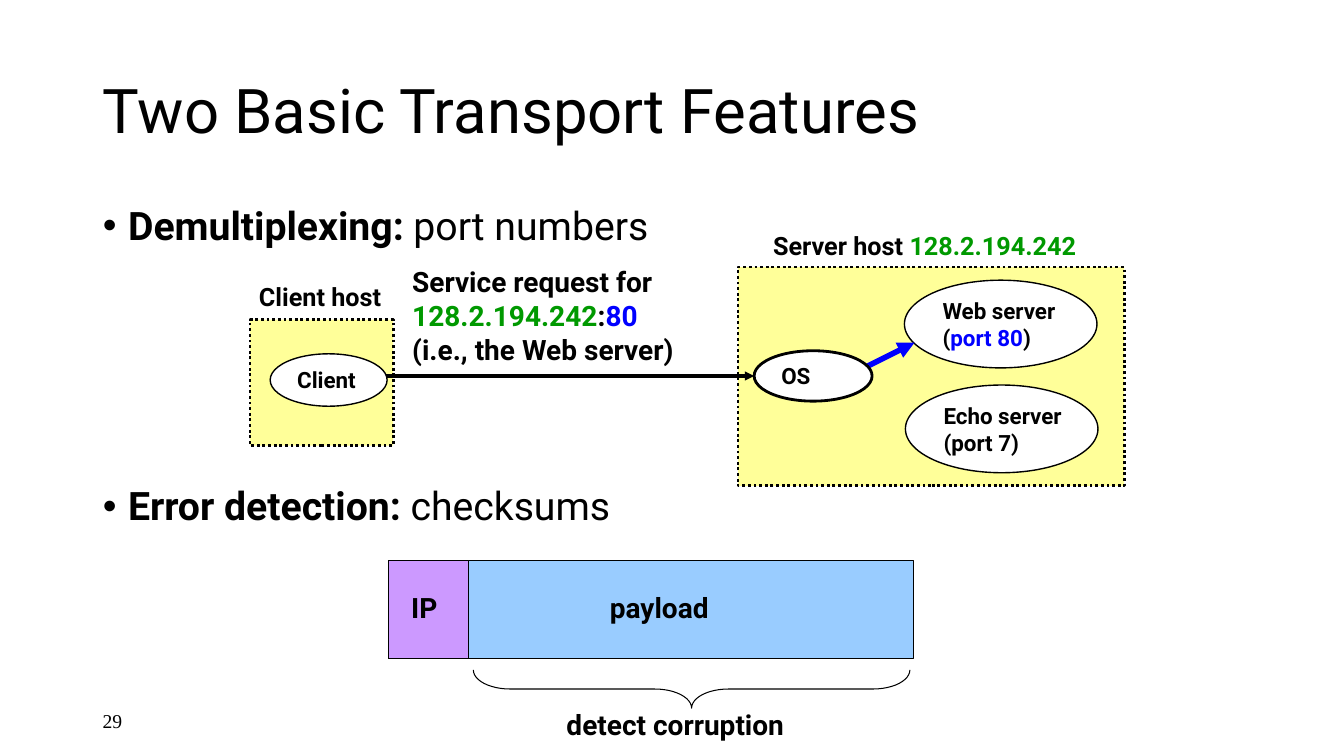
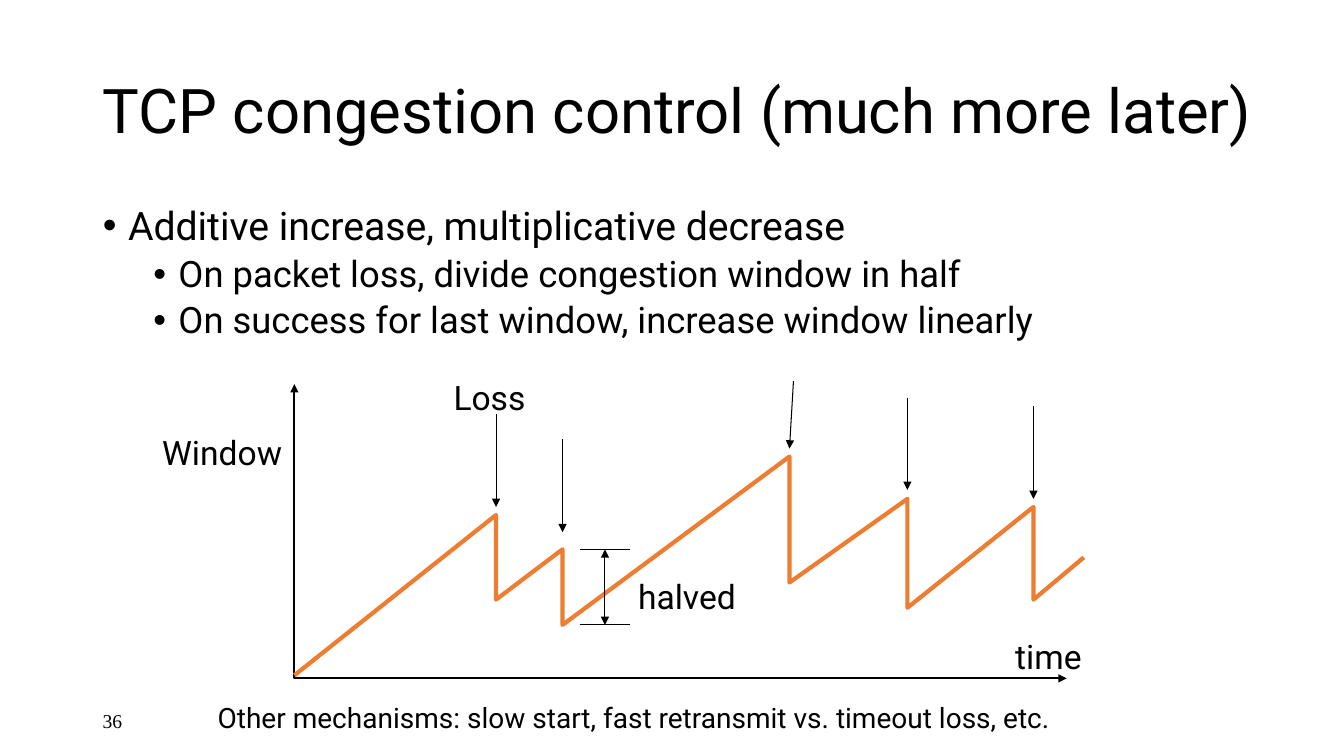
"""Build two slides on transport features and TCP congestion control."""
from lxml import etree
from pptx import Presentation
from pptx.dml.color import RGBColor
from pptx.enum.dml import MSO_LINE
from pptx.enum.shapes import MSO_CONNECTOR, MSO_SHAPE
from pptx.enum.text import MSO_ANCHOR, MSO_AUTO_SIZE, PP_ALIGN
from pptx.oxml.ns import qn
from pptx.util import Inches, Pt

RECT, OVAL, BRACE = MSO_SHAPE.RECTANGLE, MSO_SHAPE.OVAL, MSO_SHAPE.LEFT_BRACE
STRAIGHT, DOTTED = MSO_CONNECTOR.STRAIGHT, MSO_LINE.ROUND_DOT
LEFT, TOP, MIDDLE = PP_ALIGN.LEFT, MSO_ANCHOR.TOP, MSO_ANCHOR.MIDDLE
FIT, FIXED = MSO_AUTO_SIZE.SHAPE_TO_FIT_TEXT, MSO_AUTO_SIZE.NONE

BLACK = RGBColor(0x00, 0x00, 0x00)
WHITE = RGBColor(0xFF, 0xFF, 0xFF)
BLUE = RGBColor(0x00, 0x00, 0xFF)
GREEN = RGBColor(0x00, 0x99, 0x00)
YELLOW = RGBColor(0xFF, 0xFF, 0x99)
SKY = RGBColor(0x99, 0xCC, 0xFF)
PURPLE = RGBColor(0xCC, 0x99, 0xFF)
ORANGE = RGBColor(0xED, 0x7D, 0x31)
FONT, NUMBER_FONT = "Roboto", "Times New Roman"

LEVELS = [(0.25, 28, 10), (0.75, 26, 5)]

ADDRESS = ("128.2.194.242", GREEN)
HOSTS = [(2.48, 3.17, 1.42, 1.25), (7.32, 2.65, 3.83, 2.17)]
SERVERS = [
    ((8.97, 2.78, 1.91, 0.87), 1,
     [["Web server"], ["(", ("port 80", BLUE), ")"]]),
    ((8.98, 3.82, 1.91, 0.87), 1, [["Echo server"], ["(port 7)"]]),
]
ENDPOINTS = [
    ((7.48, 3.48, 1.17, 0.5), 2, [["OS"]]),
    ((2.68, 3.51, 1.16, 0.52), 1, [["Client"]]),
]
REQUEST_ARROWS = [
    ((3.73, 3.73), (7.48, 3.73), BLACK, 2.25),
    ((8.57, 3.65), (9.07, 3.4), BLUE, 4),
]
PACKET = [((3.85, 5.56, 5.21, 0.97), SKY), ((3.85, 5.56, 0.8, 0.97), PURPLE)]
HOST_LABELS = [
    ((2.47, 2.74, 1.49, 0.4), 18, [["Client host"]]),
    ((7.57, 2.24, 3.24, 0.4), 18, [["Server host ", ADDRESS]]),
    ((3.99, 2.58, 3.21, 1.1), 20,
     [["Service request for"], [ADDRESS, ":", ("80", BLUE)],
      ["(i.e., the Web server)"]]),
    ((3.98, 5.81, 0.47, 0.44), 20, [["IP"]]),
    ((5.95, 5.81, 1.26, 0.44), 20, [["payload"]]),
    ((5.52, 6.97, 2.51, 0.44), 20, [["detect corruption"]]),
]

AXES = [(2.92, 3.81), (2.92, 6.73), (10.58, 6.73)]
WINDOW = [(2.92, 6.7), (4.92, 5.11), (4.92, 5.95), (5.58, 5.45), (5.58, 6.2),
          (7.83, 4.53), (7.83, 5.78), (9, 4.95), (9, 6.03), (10.25, 5.03),
          (10.25, 5.95), (10.75, 5.53)]
LOSS_ARROWS = [
    ((4.92, 4.11), (4.92, 5.03)),
    ((5.58, 4.36), (5.58, 5.28)),
    ((7.87, 3.78), (7.83, 4.45)),
    ((9, 3.95), (9, 4.86)),
    ((10.25, 4.03), (10.25, 4.95)),
]
HALF_TOP, HALF_BOTTOM = 5.45, 6.2
CHART_LABELS = [
    ((9.97, 6.26, 1.29, 0.5), 24, [["time"]]),
    ((1.51, 4.24, 1.4, 0.5), 24, [["Window"]]),
    ((6.23, 5.66, 1.2, 0.5), 24, [["halved"]]),
    ((4.4, 3.69, 1.1, 0.5), 24, [["Loss"]]),
    ((2.06, 6.9, 8.6, 0.44), 20,
     [["Other mechanisms: slow start, fast retransmit vs. timeout loss, etc."]]),
]


def inches(values):
    return [Inches(v) for v in values]


def style(p, size, bold=None, name=FONT):
    p.alignment = LEFT
    p.font.name, p.font.size, p.font.bold = name, Pt(size), bold
    p.font.color.rgb = BLACK


def write(tf, lines, size, bold=None, name=FONT):
    for i, line in enumerate(lines):
        p = tf.add_paragraph() if i else tf.paragraphs[0]
        style(p, size, bold, name)
        for part in line:
            text, color = (part, BLACK) if isinstance(part, str) else part
            r = p.add_run()
            r.text = text
            r.font.color.rgb = color


def label(s, box, size, lines, bold=None):
    tf = s.shapes.add_textbox(*inches(box)).text_frame
    tf.word_wrap = False
    tf.auto_size = FIT
    write(tf, lines, size, bold)


def stroke(sp, color, width, head=False, tail=False):
    sp.line.color.rgb = color
    sp.line.width = Pt(width)
    ln = sp.line._get_or_add_ln()
    for tag, wanted in (("a:headEnd", head), ("a:tailEnd", tail)):
        if wanted:
            etree.SubElement(ln, qn(tag), type="triangle")


def shape(s, kind, box, fill=None, width=0.75):
    sp = s.shapes.add_shape(kind, *inches(box))
    sp.shadow.inherit = False
    if fill is None:
        sp.fill.background()
    else:
        sp.fill.solid()
        sp.fill.fore_color.rgb = fill
    stroke(sp, BLACK, width)
    return sp


def oval(s, box, width, lines):
    tf = shape(s, OVAL, box, WHITE, width).text_frame
    tf.word_wrap = False
    tf.vertical_anchor = MIDDLE
    write(tf, lines, 16, True)


def connect(s, start, end, color=BLACK, width=0.75, head=False, tail=True):
    cx = s.shapes.add_connector(STRAIGHT, *inches(start + end))
    stroke(cx, color, width, head, tail)
    etree.SubElement(cx._element.spPr, qn("a:effectLst"))


def polyline(s, points, color, width, arrows=False):
    first, *rest = [tuple(inches(point)) for point in points]
    builder = s.shapes.build_freeform(*first)
    builder.add_line_segments(rest, close=False)
    sp = builder.convert_to_shape()
    sp.shadow.inherit = False
    sp.fill.background()
    stroke(sp, color, width, arrows, arrows)


def place(sp, box, anchor):
    sp.left, sp.top, sp.width, sp.height = inches(box)
    tf = sp.text_frame
    tf.auto_size = FIXED
    tf.vertical_anchor = anchor
    return tf


def new_slide(prs, title, number, bullets, title_width=11.5):
    s = prs.slides.add_slide(prs.slide_layouts[1])
    tf = place(s.shapes.title, (0.92, 0.4, title_width, 1.45), MIDDLE)
    write(tf, [[title]], 44)
    tf.paragraphs[0].line_spacing = 0.9

    tf = place(s.placeholders[1], (0.92, 2, 11.5, 4.76), TOP)
    for i, (level, lead, text, gap) in enumerate(bullets):
        p = tf.add_paragraph() if i else tf.paragraphs[0]
        indent, size, before = LEVELS[level]
        p.level = level
        style(p, size)
        p.line_spacing = 0.9
        p.space_before = Pt(gap or before)
        pPr = p._p.get_or_add_pPr()
        pPr.set("marL", str(Inches(indent)))
        pPr.set("indent", str(Inches(-0.25)))
        bullet = etree.Element(qn("a:buChar"), char="•")
        pPr.find(qn("a:defRPr")).addprevious(bullet)
        for part, bold in ((lead, True), (text, False)):
            if part:
                r = p.add_run()
                r.text, r.font.bold = part, bold

    tf = s.shapes.add_textbox(*inches((0.92, 6.95, 3, 0.4))).text_frame
    tf.word_wrap = True
    tf.vertical_anchor = MIDDLE
    write(tf, [[number]], 14, name=NUMBER_FONT)
    return s


def transport_slide(prs):
    s = new_slide(prs, "Two Basic Transport Features", "29", [
        (0, "Demultiplexing:", " port numbers", None),
        (0, "Error detection:", " checksums", 170),
    ])
    for box in HOSTS:
        shape(s, RECT, box, YELLOW, 2).line.dash_style = DOTTED
    for server in SERVERS:
        oval(s, *server)
    for arrow in REQUEST_ARROWS:
        connect(s, *arrow)
    for endpoint in ENDPOINTS:
        oval(s, *endpoint)
    for box, fill in PACKET:
        shape(s, RECT, box, fill)
    brace = shape(s, BRACE, (6.67, 4.67, 0.38, 4.33))
    brace.rotation = 270
    brace.adjustments[0] = 0.96
    for item in HOST_LABELS:
        label(s, *item, bold=True)


def congestion_slide(prs):
    s = new_slide(prs, "TCP congestion control (much more later)", "36", [
        (0, "", "Additive increase, multiplicative decrease", None),
        (1, "", "On packet loss, divide congestion window in half", None),
        (1, "", "On success for last window, increase window linearly", None),
    ], title_width=11.98)
    polyline(s, AXES, BLACK, 1.5, arrows=True)
    polyline(s, WINDOW, ORANGE, 3)
    for y in (HALF_TOP, HALF_BOTTOM):
        connect(s, (5.75, y), (6.25, y), tail=False)
    connect(s, (6, HALF_TOP), (6, HALF_BOTTOM), head=True)
    for arrow in LOSS_ARROWS:
        connect(s, *arrow)
    for item in CHART_LABELS:
        label(s, *item)


def main():
    prs = Presentation()
    prs.slide_width, prs.slide_height = Inches(13.33), Inches(7.5)
    transport_slide(prs)
    congestion_slide(prs)
    prs.save("out.pptx")


if __name__ == "__main__":
    main()
